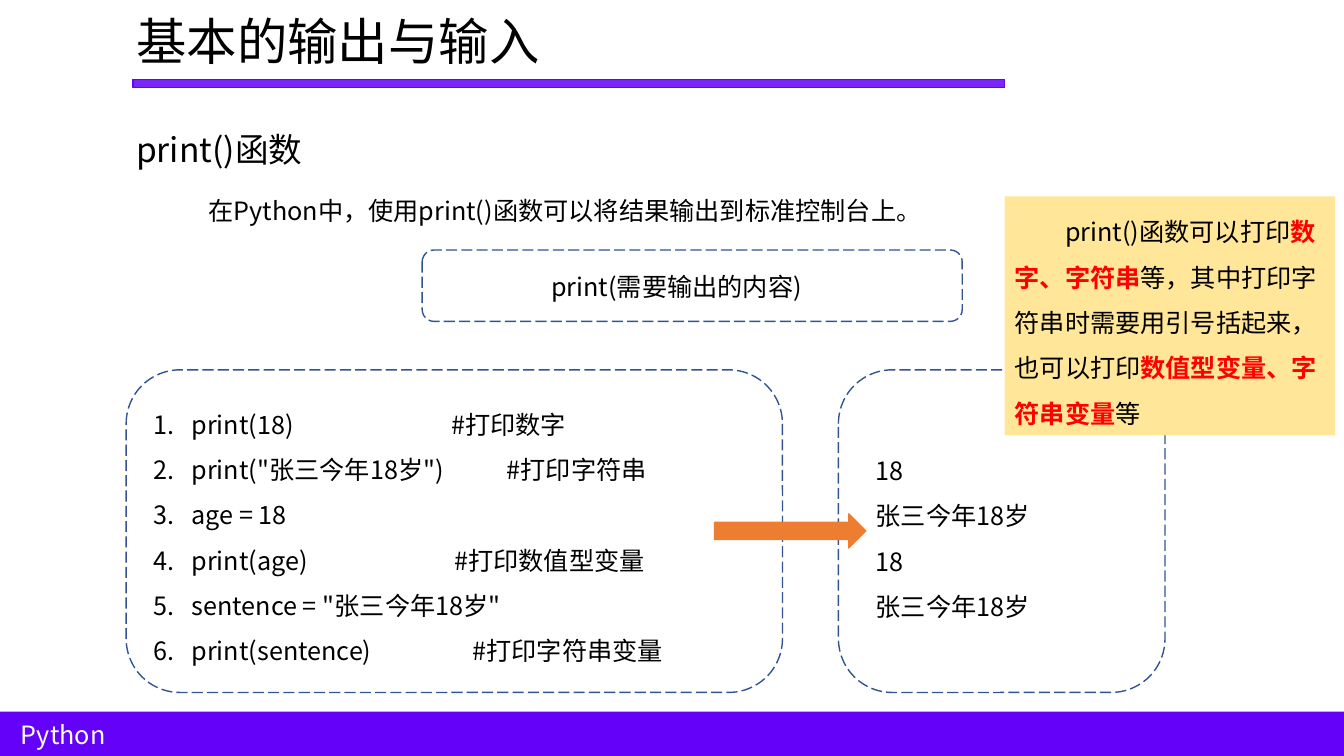
from dataclasses import dataclass

import pptx
import pptx.dml.color
import pptx.enum.dml
import pptx.enum.shapes
import pptx.enum.text
import pptx.oxml.ns
import pptx.util
from lxml import etree

Cm, Pt = pptx.util.Cm, pptx.util.Pt
RGB = pptx.dml.color.RGBColor.from_string
Kind = pptx.enum.shapes.MSO_SHAPE
Text = pptx.enum.text
qn = pptx.oxml.ns.qn


@dataclass(frozen=True)
class Theme:
    font: str = "Noto Sans CJK SC"
    ink: str = "000000"
    white: str = "FFFFFF"
    brand: str = "6401F8"
    dash: str = "325491"
    arrow: str = "ED7D31"
    note: str = "FFE699"
    alert: str = "FF0000"
    title: int = 36
    head: int = 24
    body: int = 18


theme = Theme()


def write(shape, text, *, size=theme.body, color=theme.ink, lead=None,
          left=0, first=0, number=False, tabs=()):
    """Fill a shape with one paragraph per line; parts between * are bold red."""
    frame = shape.text_frame
    frame.word_wrap = True
    frame.auto_size = Text.MSO_AUTO_SIZE.NONE
    frame.vertical_anchor = Text.MSO_ANCHOR.TOP
    for row, line in enumerate(text.split("\n")):
        para = frame.add_paragraph() if row else frame.paragraphs[0]
        para.alignment = Text.PP_ALIGN.LEFT
        if lead:
            para.line_spacing = lead
        props = para._p.get_or_add_pPr()
        props.set("marL", str(Cm(left)))
        props.set("indent", str(Cm(first)))
        if number:
            etree.SubElement(props, qn("a:buAutoNum"), type="arabicPeriod")
        if "\t" in line:
            stops = etree.SubElement(props, qn("a:tabLst"))
            etree.SubElement(stops, qn("a:tab"), pos=str(Cm(tabs[row])), algn="l")
        for part, piece in enumerate(line.split("*")):
            strong = part % 2 == 1
            run = para.add_run()
            run.text = piece
            run.font.size = Pt(size)
            run.font.bold = strong
            run.font.color.rgb = RGB(theme.alert if strong else color)
            run.font.name = theme.font
            etree.SubElement(run._r.get_or_add_rPr(), qn("a:ea"), typeface=theme.font)


def draw(kind, box, fill=None, line=None, dash=False):
    shape = slide.shapes.add_shape(kind, *map(Cm, box))
    shape.shadow.inherit = False
    if fill:
        shape.fill.solid()
        shape.fill.fore_color.rgb = RGB(fill)
    else:
        shape.fill.background()
    if line:
        shape.line.color.rgb = RGB(line)
        shape.line.width = Pt(1)
    else:
        shape.line.fill.background()
    if dash:
        shape.line.dash_style = pptx.enum.dml.MSO_LINE.LONG_DASH
    return shape


deck = pptx.Presentation()
deck.slide_width, deck.slide_height = Cm(33.87), Cm(19.05)
slide = deck.slides.add_slide(deck.slide_layouts[5])
add_box = slide.shapes.add_textbox

# Title, rule and footer
title = slide.shapes.title
title.left, title.top, title.width, title.height = map(Cm, (3.18, 0.13, 11.23, 1.8))
write(title, "基本的输出与输入", size=theme.title)

rule = draw(Kind.RECTANGLE, (3.35, 2.01, 21.97, 0.2), theme.brand, theme.brand)
tint = rule._element.spPr.find(qn("a:solidFill"))[0]
etree.SubElement(tint, qn("a:alpha"), val="85000")

draw(Kind.RECTANGLE, (0, 17.93, 33.87, 1.12), theme.brand)
foot = add_box(*map(Cm, (0.28, 18.01, 6.81, 1.04)))
write(foot, "Python", color=theme.white)

# Introduction and syntax
head = add_box(*map(Cm, (3.18, 3.12, 12.27, 1.27)))
write(head, "print()函数", size=theme.head)
intro = add_box(*map(Cm, (3.73, 4.42, 22.99, 1.4)))
write(intro, "在Python中，使用print()函数可以将结果输出到标准控制台上。",
      lead=1.5, first=1.27)
syntax = add_box(*map(Cm, (12.9, 6.71, 9.09, 1.02)))
write(syntax, "print(需要输出的内容)", first=0.74)
draw(Kind.ROUNDED_RECTANGLE, (10.64, 6.3, 13.61, 1.8), line=theme.dash, dash=True)

# Code and its output
draw(Kind.ROUNDED_RECTANGLE, (3.18, 9.32, 16.54, 8.13), line=theme.dash, dash=True)
code = add_box(*map(Cm, (3.63, 9.8, 14.33, 7.19)))
write(code, """print(18)\t#打印数字
print("张三今年18岁")\t#打印字符串
age = 18
print(age)\t#打印数值型变量
sentence = "张三今年18岁"
print(sentence)\t#打印字符串变量""",
      lead=1.5, left=0.95, first=-0.95, number=True,
      tabs=(7.49, 8.89, 0, 7.57, 0, 8.03))

frame = draw(Kind.ROUNDED_RECTANGLE, (21.13, 9.32, 8.23, 8.13),
             line=theme.dash, dash=True)
result = add_box(*map(Cm, (21.82, 10.97, 5.92, 4.88)))
write(result, "18\n张三今年18岁\n18\n张三今年18岁", lead=1.5)
slide.shapes.add_group_shape([frame, result])
draw(Kind.RIGHT_ARROW, (18.01, 12.95, 3.81, 0.86), theme.arrow, theme.arrow)

# Note
note = draw(Kind.RECTANGLE, (25.32, 4.95, 8.33, 6.02), theme.note)
write(note, "print()函数可以打印*数字、字符串*等，其中打印字符串时需要用引号括起来，"
      "也可以打印*数值型变量、字符串变量*等", lead=1.5, first=1.27)

deck.save("out.pptx")
